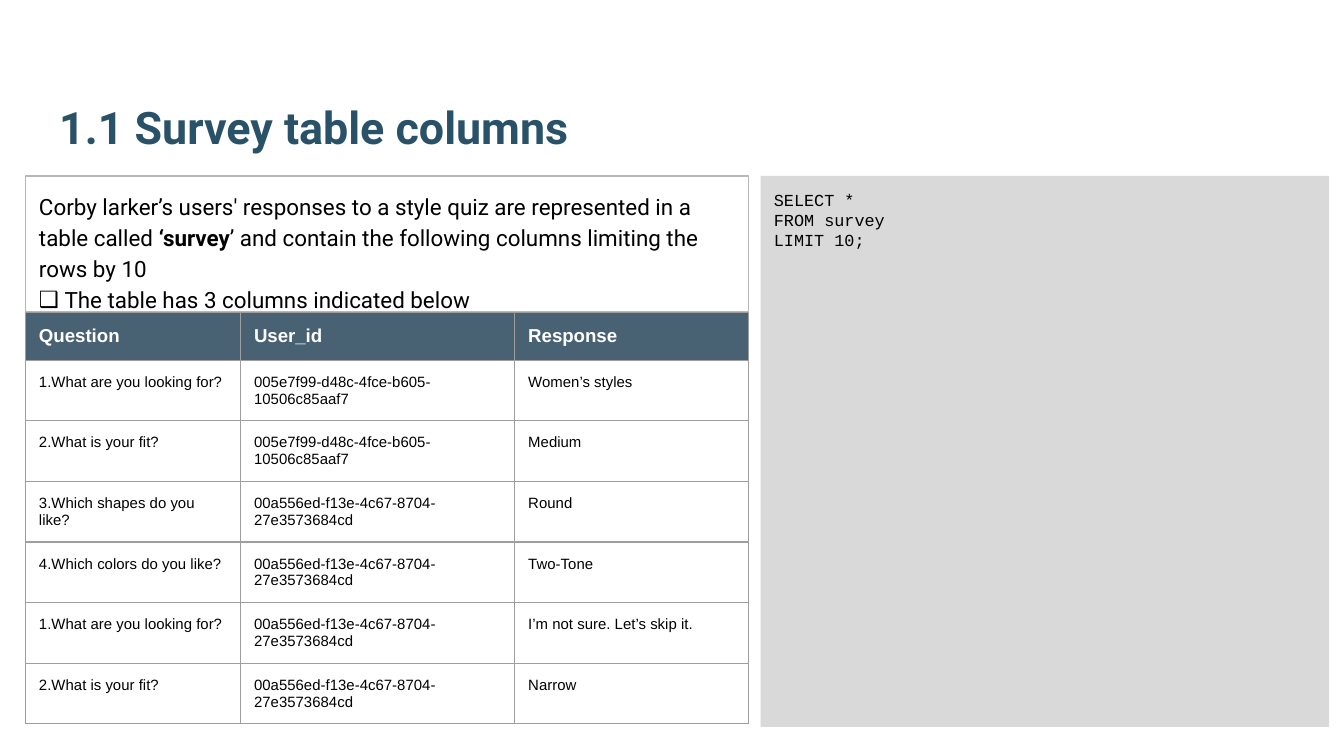
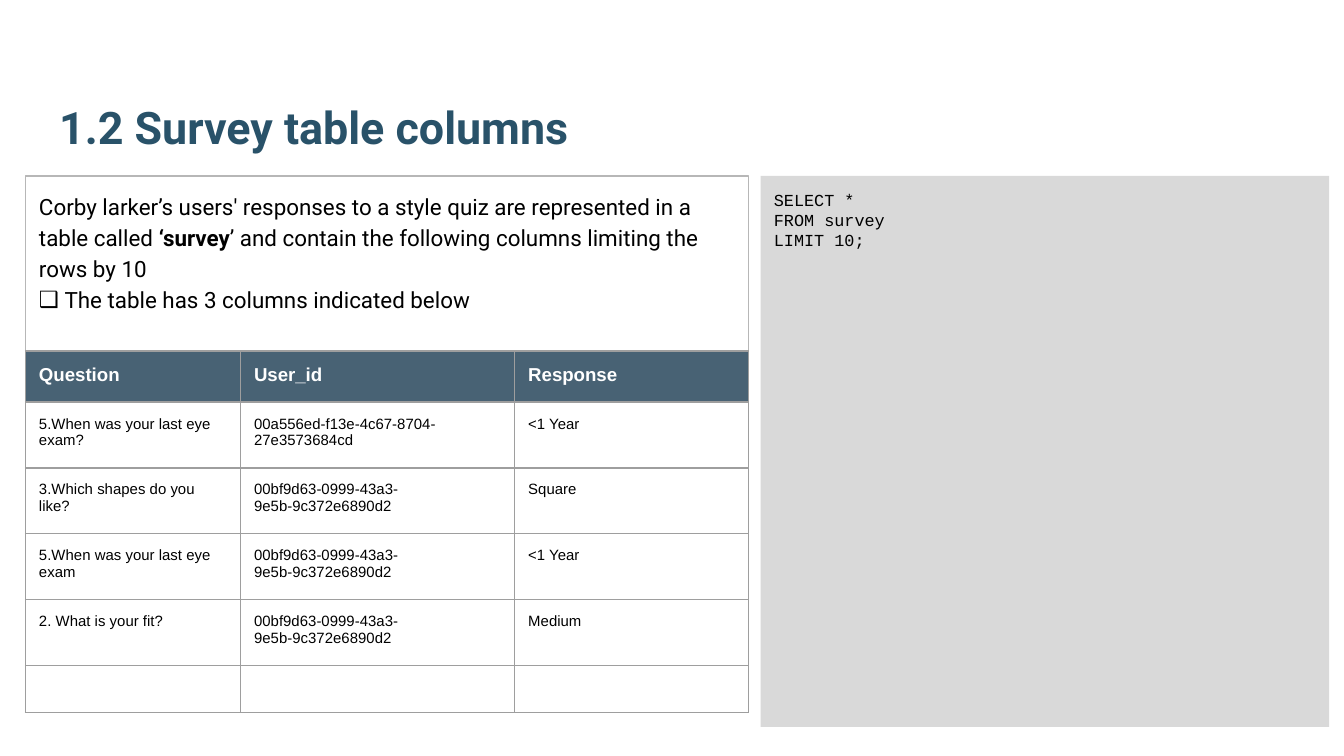
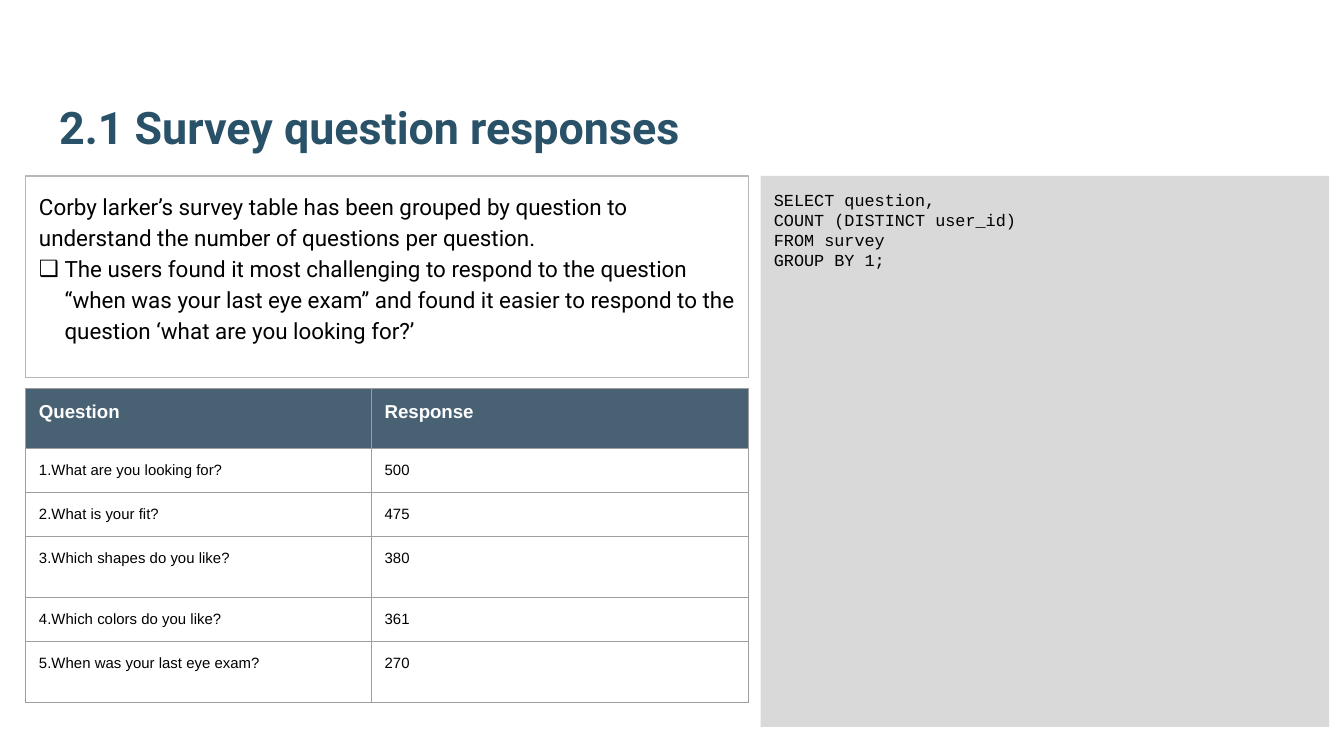
import lxml.etree
import pptx
import pptx.dml.color
import pptx.enum.shapes
import pptx.enum.text
import pptx.oxml.ns
import pptx.util

Pt = pptx.util.Pt

NAVY, HEAD, GRAY, EDGE, GRID = "295269", "204056", "D9D9D9", "B7B7B7", "9E9E9E"
BLACK, WHITE = "000000", "FFFFFF"
LEFT, TOP, WIDE, INSET = 13.7, 94.3, 387.4, 7.2

# Each intro paragraph is a list of (text, bold) runs; the second is bulleted.
SURVEY = [
    [("Corby larker’s users' responses to a style quiz are represented in a table called ", False),
     ("‘survey", True),
     ("’ and contain the following columns limiting the rows by 10", False)],
    [("The table has 3 columns indicated below", False)],
]
GROUPED = [
    [("Corby larker’s survey table has been grouped by question to understand "
      "the number of questions per question.", False)],
    [("The users found it most challenging to respond to the question “when was your "
      "last eye exam” and found it easier to respond to the question "
      "‘what are you looking for?’", False)],
]
SAMPLE = ["SELECT *", "FROM survey", "LIMIT 10;"]
COUNT = ["SELECT question,", "COUNT (DISTINCT user_id)", "FROM survey", "GROUP BY 1;"]

LOOK, FIT = "1.What are you looking for?", "2.What is your fit?"
SHAPES, COLORS = "3.Which shapes do you like?", "4.Which colors do you like?"
EXAM = "5.When was your last eye exam?"
USER_A = "005e7f99-d48c-4fce-b605-10506c85aaf7"
USER_B = "00a556ed-f13e-4c67-8704-27e3573684cd"
USER_C = "00bf9d63-0999-43a3-9e5b-9c372e6890d2"
FIELDS = ("Question", "User_id", "Response")
THREE = [115.2, 146.9, 125.3]

SLIDES = [
    {"title": "1.1 Survey table columns", "intro": SURVEY, "tall": 72.7, "code": SAMPLE,
     "top": 167.4, "cols": THREE, "rows": [24.5] + [31.7] * 6,
     "cells": [FIELDS,
               (LOOK, USER_A, "Women’s styles"),
               (FIT, USER_A, "Medium"),
               (SHAPES, USER_B, "Round"),
               (COLORS, USER_B, "Two-Tone"),
               (LOOK, USER_B, "I’m not sure. Let’s skip it."),
               (FIT, USER_B, "Narrow")]},
    {"title": "1.2 Survey table columns", "intro": SURVEY, "tall": 93.6, "code": SAMPLE,
     "top": 188, "cols": THREE, "rows": [27.4] + [35.3] * 4 + [25.2],
     "cells": [FIELDS,
               (EXAM, USER_B, "<1 Year"),
               (SHAPES, USER_C, "Square"),
               ("5.When was your last eye exam", USER_C, "<1 Year"),
               ("2. What is your fit?", USER_C, "Medium"),
               ("", "", "")]},
    {"title": "2.1 Survey question responses", "intro": GROUPED, "tall": 108, "code": COUNT,
     "top": 208, "cols": [185.2, 202.2], "rows": [32.2, 23.6, 23.6, 32.7, 23.6, 32.7],
     "cells": [("Question", "Response"),
               (LOOK, "500"), (FIT, "475"), (SHAPES, "380"), (COLORS, "361"), (EXAM, "270")]},
]


def color(code):
    return pptx.dml.color.RGBColor.from_string(code)


def child(parent, tag, **attrs):
    return lxml.etree.SubElement(parent, pptx.oxml.ns.qn(tag), attrs)


def place(shape, left, top, wide, tall):
    shape.left, shape.top, shape.width, shape.height = Pt(left), Pt(top), Pt(wide), Pt(tall)


def pad(item):
    """Give a text frame or a table cell equal margins."""
    item.margin_left = item.margin_right = item.margin_top = item.margin_bottom = Pt(INSET)


def frame(shape, anchor):
    box = shape.text_frame
    pad(box)
    box.word_wrap = True
    box.auto_size = pptx.enum.text.MSO_AUTO_SIZE.NONE
    box.vertical_anchor = anchor
    return box


def style(para, face, size, code, bold=False):
    para.alignment = pptx.enum.text.PP_ALIGN.LEFT
    font = para.font
    font.name, font.size, font.bold = face, Pt(size), bold
    font.color.rgb = color(code)


def add_title(slide, text):
    title = slide.shapes.title
    place(title, 24.5, 23, 671, 66.2)
    box = frame(title, pptx.enum.text.MSO_ANCHOR.BOTTOM)
    box.text = text
    style(box.paragraphs[0], "Roboto", 24, NAVY, True)


def add_code(slide, lines):
    panel = slide.shapes.add_shape(pptx.enum.shapes.MSO_SHAPE.RECTANGLE, 0, 0, 0, 0)
    place(panel, 407.5, TOP, 304.6, 295.2)
    panel.shadow.inherit = False
    panel.fill.solid()
    panel.fill.fore_color.rgb = color(GRAY)
    panel.line.fill.background()
    box = frame(panel, pptx.enum.text.MSO_ANCHOR.TOP)
    box.text = "\n".join(lines)
    for para in box.paragraphs:
        style(para, "Courier New", 9, BLACK)


def mark(para, bullet):
    props = para._p.get_or_add_pPr()
    indent = Pt(13.7) if bullet else 0
    props.set("marL", str(indent))
    props.set("indent", str(-indent))
    if bullet:
        child(child(props, "a:buClr"), "a:srgbClr", val=BLACK)
        child(props, "a:buChar", char="❑")
    else:
        child(props, "a:buNone")


def add_intro(slide, paras, tall):
    body = slide.placeholders[1]
    place(body, LEFT, TOP, WIDE, tall)
    body.line.color.rgb = color(EDGE)
    body.line.width = Pt(0.75)
    box = frame(body, pptx.enum.text.MSO_ANCHOR.TOP)
    for i, runs in enumerate(paras):
        para = box.add_paragraph() if i else box.paragraphs[0]
        mark(para, i > 0)
        para.line_spacing = 1.15
        para.space_before = Pt(0)
        style(para, "Roboto", 12, BLACK)
        for text, bold in runs:
            run = para.add_run()
            run.text = text
            if bold:
                run.font.bold = True


def fill_cell(cell, text, head):
    pad(cell)
    props = cell._tc.get_or_add_tcPr()
    for side in "LRTB":
        line = child(props, "a:ln" + side, w=str(Pt(0.75)))
        child(child(line, "a:solidFill"), "a:srgbClr", val=GRID)
    cell.text = text
    para = cell.text_frame.paragraphs[0]
    if head:
        cell.fill.solid()
        cell.fill.fore_color.rgb = color(HEAD)
        child(props.find("a:solidFill/a:srgbClr", props.nsmap), "a:alpha", val="82000")
        style(para, "Arial", 10, WHITE, True)
    else:
        cell.fill.background()
        style(para, "Arial", 8, BLACK)
    if not text:
        child(para._p, "a:endParaRPr", sz="800")


def add_grid(slide, top, cols, rows, cells):
    grid = slide.shapes.add_table(len(rows), len(cols), Pt(LEFT), Pt(top),
                                  Pt(sum(cols)), Pt(sum(rows))).table
    grid.first_row = grid.horz_banding = False
    for col, wide in zip(grid.columns, cols):
        col.width = Pt(wide)
    for r, (tall, texts) in enumerate(zip(rows, cells)):
        grid.rows[r].height = Pt(tall)
        for c, text in enumerate(texts):
            fill_cell(grid.cell(r, c), text, r == 0)


def main():
    deck = pptx.Presentation()
    deck.slide_width, deck.slide_height = Pt(720), Pt(405)
    for page in SLIDES:
        slide = deck.slides.add_slide(deck.slide_layouts[1])
        add_title(slide, page["title"])
        add_code(slide, page["code"])
        add_intro(slide, page["intro"], page["tall"])
        add_grid(slide, page["top"], page["cols"], page["rows"], page["cells"])
    deck.save("out.pptx")


if __name__ == "__main__":
    main()
